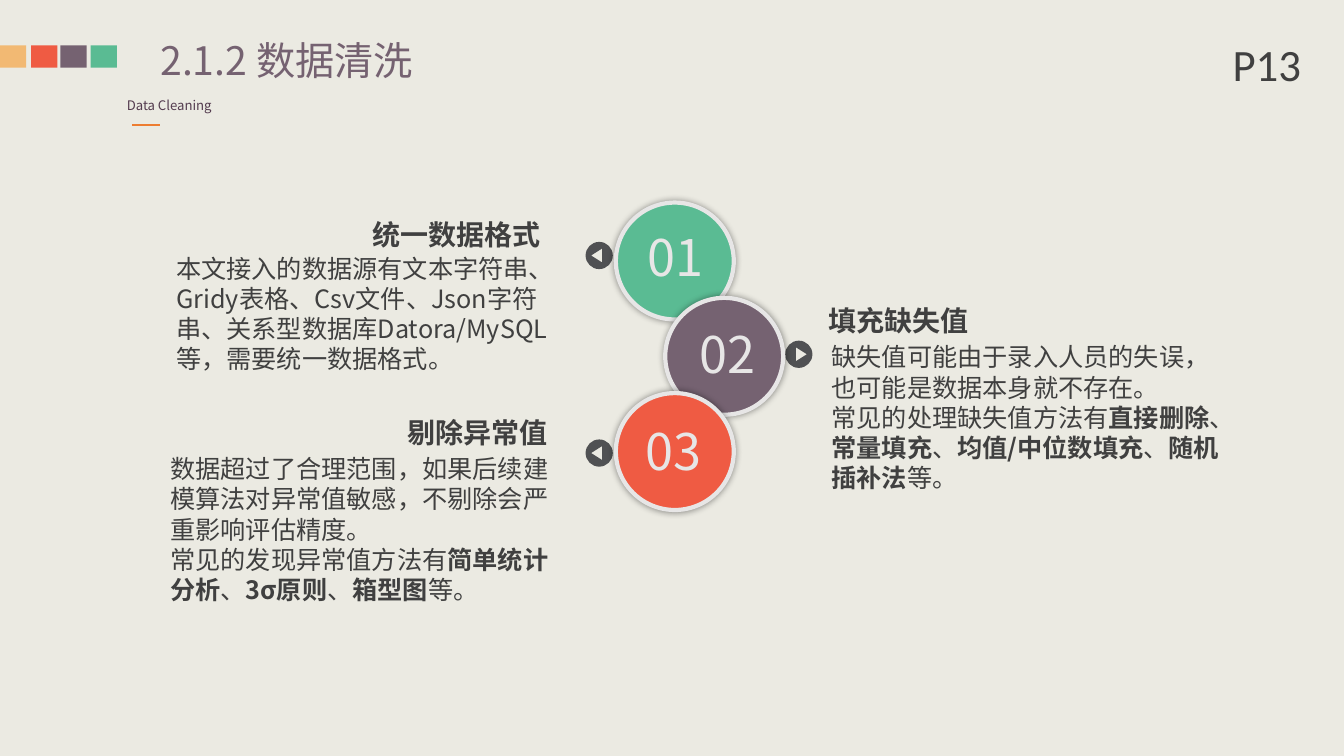
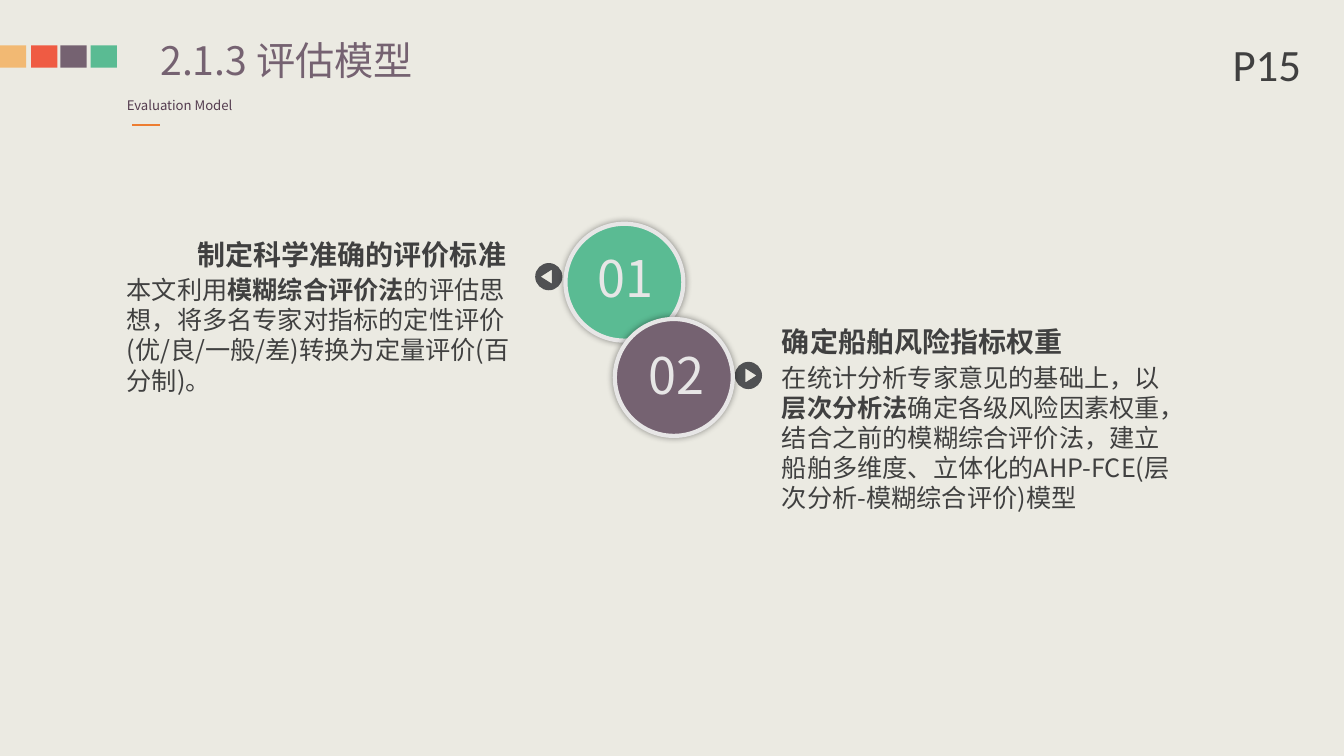
from lxml import etree
from pptx import Presentation, util as u
from pptx.dml.color import RGBColor
from pptx.enum import shapes, text
from pptx.oxml import ns

COLORS = {
    "background": "EBEAE2", "sand": "F2B973", "red": "EF5B43",
    "plum": "756271", "green": "5ABB93", "accent": "ED7D31",
    "subtitle": "543C4F", "body": "404040", "badge": "505153",
    "ring": "E7E6E6", "shadow": "000000",
}
FONT = "Noto Sans CJK SC"
PAGE_FONT = "Calibri"
LINE_HEIGHT = 1.2
SQUARES = {"sand": 0, "red": 0.31, "plum": 0.6, "green": 0.9}
CIRCLE_COLORS = ["green", "plum", "red"]
CIRCLE_WIDTH, CIRCLE_HEIGHT = 1.17, 1.16
CIRCLE_SHIFT = 0.49
NUMBER_INSETS = [0.18, 0.2, 0.16]
BADGE = 0.27
ARC = 0.55  # control length of a quarter circle, as a share of the radius
LEFT, RIGHT = -1, 1

# Each entry: body box, heading box, heading, paragraphs.
SLIDES = [
    {
        "title": "2.1.2 数据清洗", "subtitle": "Data Cleaning", "page": "P13",
        "chain": (6.11, 2.01),
        "entries": [
            ((1.65, 2.46, 3.96, 1.31), (3.51, 2.11, 1.95, 0.44),
             "统一数据格式", [
                "本文接入的数据源有文本字符串、Gridy表格、Csv文件、Json字符串、"
                "关系型数据库Datora/MySQL等，需要统一数据格式。"]),
            ((8.15, 3.34, 4.05, 1.62), (8.12, 2.96, 1.64, 0.44),
             "填充缺失值", [
                "缺失值可能由于录入人员的失误，也可能是数据本身就不存在。",
                "常见的处理缺失值方法有**直接删除**、**常量填充**、"
                "**均值/中位数填充**、**随机插补法**等。"]),
            ((1.59, 4.45, 4.08, 1.62), (3.94, 4.07, 1.59, 0.44),
             "剔除异常值", [
                "数据超过了合理范围，如果后续建模算法对异常值敏感，"
                "不剔除会严重影响评估精度。",
                "常见的发现异常值方法有**简单统计分析**、**3σ原则**、**箱型图**等。"]),
        ],
    },
    {
        "title": "2.1.3 评估模型", "subtitle": "Evaluation Model", "page": "P15",
        "chain": (5.61, 2.22),
        "entries": [
            ((1.16, 2.67, 4.1, 1.31), (1.77, 2.31, 3.35, 0.44),
             "制定科学准确的评价标准", [
                "本文利用**模糊综合评价法**的评估思想，将多名专家对指标的定性评价"
                "(优/良/一般/差)转换为定量评价(百分制)。"]),
            ((7.66, 3.54, 4.1, 1.62), (7.66, 3.17, 3.04, 0.44),
             "确定船舶风险指标权重", [
                "在统计分析专家意见的基础上，以**层次分析法**确定各级风险因素权重，"
                "结合之前的模糊综合评价法，建立船舶多维度、立体化的"
                "AHP-FCE(层次分析-模糊综合评价)模型"]),
        ],
    },
]


def color(name):
    return RGBColor.from_string(COLORS[name])


def inches(*lengths):
    return [u.Inches(length) for length in lengths]


def add_effects(shape):
    """Add an empty effect list, which switches off the theme's shadow."""
    return etree.SubElement(shape.element.spPr, ns.qn("a:effectLst"))


def add_glow_shadow(shape):
    shadow = etree.SubElement(add_effects(shape), ns.qn("a:outerShdw"),
                              blurRad=str(u.Pt(5)), dist="0", dir="0",
                              algn="ctr", rotWithShape="0")
    tint = etree.SubElement(shadow, ns.qn("a:srgbClr"), val=COLORS["shadow"])
    etree.SubElement(tint, ns.qn("a:alpha"), val="40000")


def add_text(slide, box, paragraphs, size, tint="body", font=FONT, bold=False,
             align=None, wrap=True, inset=True):
    """Add a text box; text between ** marks is bold."""
    frame = slide.shapes.add_textbox(*inches(*box)).text_frame
    frame.word_wrap = wrap
    if not inset:
        frame.margin_left = frame.margin_right = 0
        frame.margin_top = frame.margin_bottom = 0
    for index, content in enumerate(paragraphs):
        paragraph = frame.add_paragraph() if index else frame.paragraphs[0]
        paragraph.alignment = align
        paragraph.line_spacing = u.Pt(size * LINE_HEIGHT)
        for part, words in enumerate(content.split("**")):
            if not words:
                continue
            run = paragraph.add_run()
            run.text = words
            run.font.size = u.Pt(size)
            run.font.bold = bold or part % 2 == 1
            run.font.color.rgb = color(tint)
            run.font.name = font
            etree.SubElement(run.font._element, ns.qn("a:ea"), typeface=font)


def dress_layout(layout, slide):
    """Set the shared background and move the colour squares to the layout."""
    layout.background.fill.solid()
    layout.background.fill.fore_color.rgb = color("background")
    for index, (name, left) in enumerate(SQUARES.items()):
        square = slide.shapes.add_shape(
            shapes.MSO_SHAPE.RECTANGLE, *inches(left, 0.45, 0.26, 0.22))
        square.shadow.inherit = False
        square.fill.solid()
        square.fill.fore_color.rgb = color(name)
        square.line.fill.background()
        square.element.nvSpPr.cNvPr.set("id", str(100 + index))
        layout.shapes.element.append(square.element)


def add_header(slide, title, subtitle, page):
    add_text(slide, (1.59, 0.36, 3.99, 0.47), [title], 28, "plum", inset=False)
    add_text(slide, (1.16, 0.92, 1.29, 0.26), [subtitle], 9.33, "subtitle",
             wrap=False)
    add_text(slide, (12.13, 0.32, 0.92, 0.64), [page], 32, font=PAGE_FONT)
    rule = slide.shapes.add_connector(shapes.MSO_CONNECTOR.STRAIGHT,
                                      *inches(1.31, 1.24, 1.59, 1.24))
    rule.line.color.rgb = color("accent")
    rule.line.width = u.Pt(1.5)
    add_effects(rule)


def round_corners(badge, directions):
    """Turn the first straight edges of the outline into quarter circles."""
    radius = u.Inches(BADGE / 2)
    edges = badge.element.findall(".//" + ns.qn("a:lnTo"))[:len(directions)]
    for index, edge in enumerate(edges):
        start = directions[index]
        end = directions[(index + 1) % len(directions)]
        curve = etree.Element(ns.qn("a:cubicBezTo"))
        for start_share, end_share in [(1, ARC), (ARC, 1), (0, 1)]:
            x, y = (round(radius * (1 + start_share * a + end_share * b))
                    for a, b in zip(start, end))
            etree.SubElement(curve, ns.qn("a:pt"), x=str(x), y=str(y))
        edge.getparent().replace(edge, curve)


def add_badge(slide, left, top, side):
    """Add a disc with a triangular hole that points to the given side."""
    radius = BADGE / 2
    directions = [(0, -1), (side, 0), (0, 1), (-side, 0)]

    def point(x, y):
        return u.Inches(left + radius + x), u.Inches(top + radius + y)

    rim = [point(radius * x, radius * y) for x, y in directions]
    hole = [point(side * x, y)
            for x, y in [(0.08, 0), (-0.03, 0.07), (-0.03, -0.07)]]
    builder = slide.shapes.build_freeform(*rim[0])
    builder.add_line_segments(rim[1:] + rim[:1], close=True)
    builder.move_to(*hole[0])
    builder.add_line_segments(hole[1:], close=True)
    badge = builder.convert_to_shape()
    round_corners(badge, directions)
    badge.shadow.inherit = False
    badge.fill.solid()
    badge.fill.fore_color.rgb = color("badge")
    badge.line.fill.background()


def add_chain(slide, left, top, count):
    """Stack numbered circles in a zigzag, each with a badge on its outer side."""
    for index in range(count):
        side = RIGHT if index % 2 else LEFT
        circle_left = left + (CIRCLE_SHIFT if side == RIGHT else 0)
        badge_left = circle_left + (1.19 if side == RIGHT else -0.3)
        add_badge(slide, badge_left, top + 0.39 + 0.98 * index, side)
        circle = slide.shapes.add_shape(
            shapes.MSO_SHAPE.OVAL,
            *inches(circle_left, top + 0.945 * index,
                    CIRCLE_WIDTH, CIRCLE_HEIGHT))
        circle.fill.solid()
        circle.fill.fore_color.rgb = color(CIRCLE_COLORS[index])
        circle.line.color.rgb = color("ring")
        circle.line.width = u.Pt(3)
        add_glow_shadow(circle)
        add_text(slide, (circle_left + NUMBER_INSETS[index],
                         top + 0.18 + 0.965 * index, 0.83, 0.71),
                 [f"{index + 1:02d}"], 36, "ring", align=text.PP_ALIGN.CENTER)


def add_entry(slide, body_box, heading_box, heading, paragraphs, side):
    add_text(slide, body_box, paragraphs, 18)
    align = text.PP_ALIGN.RIGHT if side == LEFT else text.PP_ALIGN.LEFT
    add_text(slide, heading_box, [heading], 20, bold=True, align=align,
             wrap=True)


def add_chain_slide(slide, content):
    entries = content["entries"]
    add_chain(slide, *content["chain"], len(entries))
    for index, entry in enumerate(entries):
        add_entry(slide, *entry, RIGHT if index % 2 else LEFT)
    add_header(slide, content["title"], content["subtitle"], content["page"])


def main():
    presentation = Presentation()
    presentation.slide_width, presentation.slide_height = inches(40 / 3, 7.5)
    layout = presentation.slide_layouts[6]
    slides = [presentation.slides.add_slide(layout) for _ in SLIDES]
    dress_layout(layout, slides[0])
    for slide, content in zip(slides, SLIDES):
        add_chain_slide(slide, content)
    presentation.save("out.pptx")


if __name__ == "__main__":
    main()
